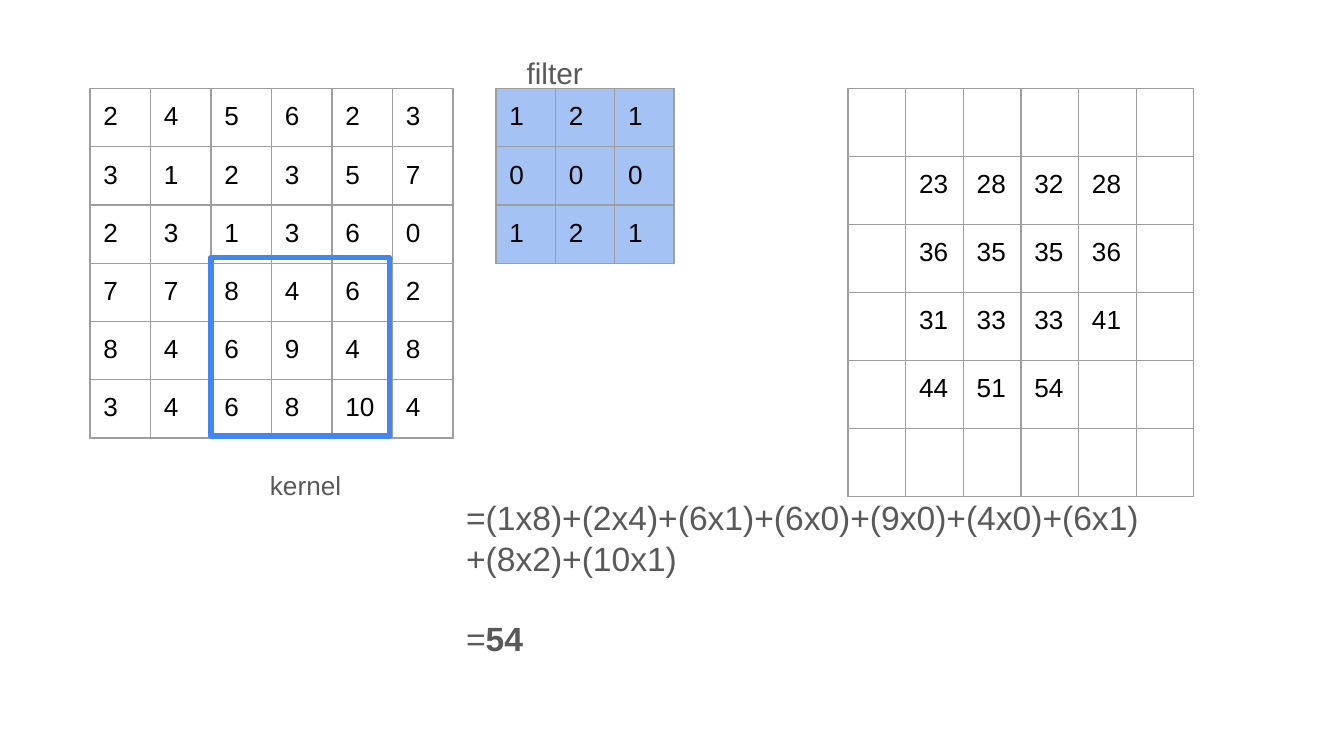
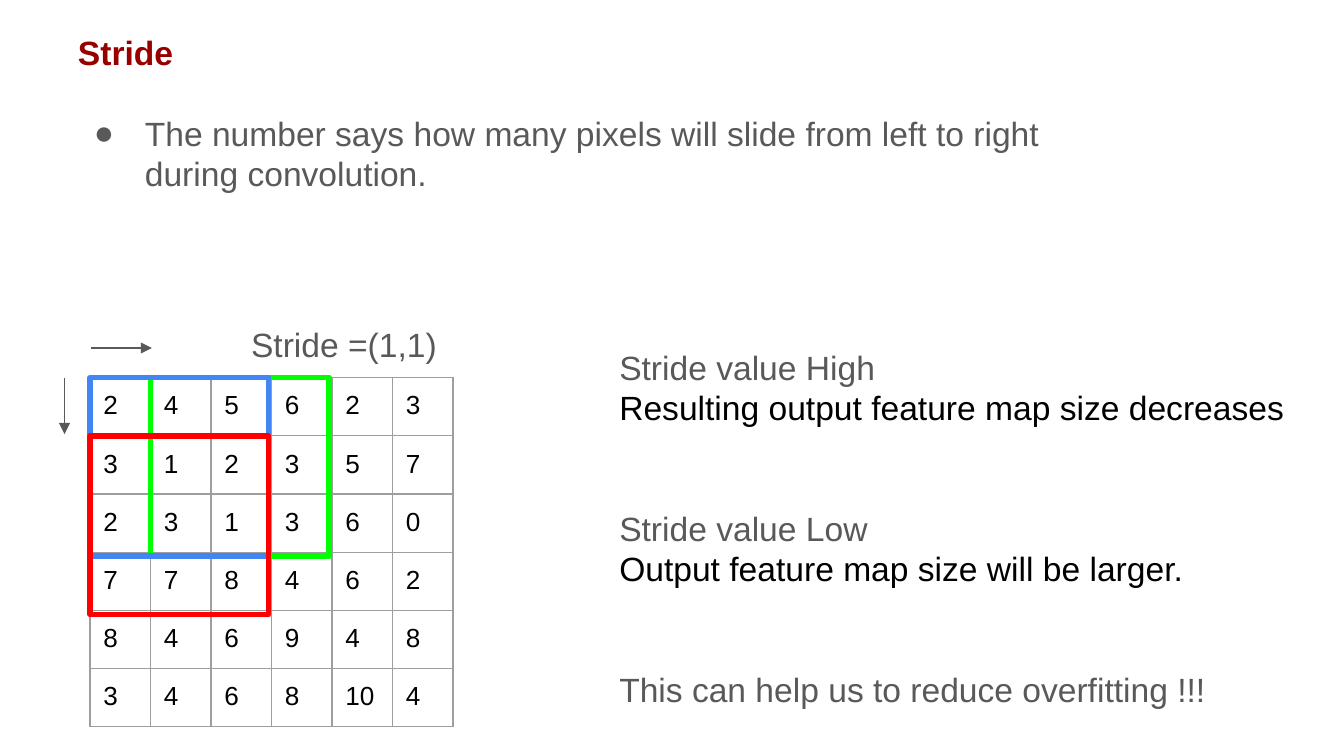
from lxml.etree import SubElement as Sub
from pptx import Presentation as Deck
from pptx.dml.color import RGBColor as Rgb
from pptx.enum.shapes import MSO_CONNECTOR as Link, MSO_SHAPE as Form
from pptx.enum.text import MSO_ANCHOR as Anchor, MSO_AUTO_SIZE as Fit, PP_ALIGN as Align
from pptx.oxml.ns import qn
from pptx.util import Inches, Pt

COLS, ROWS = 100, 56.25
UNIT = Inches(10) / COLS
FONT = "Arial"
GREY, BLACK, MAROON = "595959", "000000", "980000"
BLUE, GREEN, RED = "4285F4", "00FF00", "FF0000"
PALE, EDGE = "A4C2F4", "9E9E9E"
LINE = 21.6
LEFT, CELL, HIGH = 6.7, 4.5, 26 / 6
SPAN = 13.3

PIXELS = [line.split() for line in (
    "2 4 5 6 2 3", "3 1 2 3 5 7", "2 3 1 3 6 0",
    "7 7 8 4 6 2", "8 4 6 9 4 8", "3 4 6 8 10 4")]
FILTER = [line.split() for line in ("1 2 1", "0 0 0", "1 2 1")]
INNER = [["23", "28", "32", "28"], ["36", "35", "35", "36"],
         ["31", "33", "33", "41"], ["44", "51", "54", ""]]
BLANK = [""] * 6
OUTPUT = [BLANK, *(["", *row, ""] for row in INNER), BLANK]


def hue(code):
    return Rgb.from_string(code)


def grid(*spots):
    return [round(spot * UNIT) for spot in spots]


class Page:
    def __init__(self, deck, layout):
        self.slide = deck.slides.add_slide(deck.slide_layouts[layout])
        self.shapes = self.slide.shapes

    def run(self, para, text, size, color, bold=False):
        run = para.add_run()
        run.text = text
        font = run.font
        font.name, font.size, font.bold = FONT, Pt(size), bold
        font.color.rgb = hue(color)

    def frame(self, shape):
        frame = shape.text_frame
        frame.word_wrap, frame.auto_size = True, Fit.NONE
        frame.vertical_anchor = Anchor.TOP
        frame.margin_left = frame.margin_right = Inches(0.1)
        frame.margin_top = frame.margin_bottom = Inches(0.1)
        return frame

    def title(self, text, *area):
        shape = self.shapes.title
        shape.left, shape.top, shape.width, shape.height = grid(*area)
        para = self.frame(shape).paragraphs[0]
        para.alignment = Align.LEFT
        self.run(para, text, 18, MAROON, True)

    def text(self, paras, *area, size=18, bullet=False):
        frame = self.frame(self.shapes.add_textbox(*grid(*area)))
        for spot, (gap, runs) in enumerate(paras):
            para = frame.add_paragraph() if spot else frame.paragraphs[0]
            if bullet:
                self.bullet(para)
            if gap:
                para.space_before = Pt(gap)
            for text, color, bold in runs:
                self.run(para, text, size, color, bold)

    def bullet(self, para):
        props = para._p.get_or_add_pPr()
        props.set("marL", str(Inches(0.5)))
        props.set("indent", str(-Inches(0.38)))
        tint = Sub(props, qn("a:buClr"))
        Sub(tint, qn("a:srgbClr"), val=GREY)
        Sub(props, qn("a:buFont"), typeface=FONT)
        Sub(props, qn("a:buChar"), char="●")

    def table(self, data, left, top, wide, high, fill=None):
        rows, cols = len(data), len(data[0])
        area = grid(left, top, wide * cols, high * rows)
        table = self.shapes.add_table(rows, cols, *area).table
        table.first_row = table.horz_banding = False
        for col in table.columns:
            col.width = grid(wide)[0]
        for row, texts in zip(table.rows, data):
            row.height = grid(high)[0]
            for cell, text in zip(row.cells, texts):
                self.cell(cell, text, fill)

    def cell(self, cell, text, fill):
        cell.margin_left = cell.margin_right = Inches(0.1)
        cell.margin_top = cell.margin_bottom = Inches(0.1)
        props = cell._tc.get_or_add_tcPr()
        for side in "LRTB":
            line = Sub(props, qn(f"a:ln{side}"), w=str(Pt(0.75)))
            Sub(Sub(line, qn("a:solidFill")), qn("a:srgbClr"), val=EDGE)
        if fill:
            cell.fill.solid()
            cell.fill.fore_color.rgb = hue(fill)
        else:
            cell.fill.background()
        if text:
            self.run(cell.text_frame.paragraphs[0], text, 14, BLACK)

    def window(self, top, col, row, color):
        area = grid(LEFT + col * CELL, top + row * HIGH, SPAN, SPAN)
        shape = self.shapes.add_shape(Form.RECTANGLE, *area)
        shape.shadow.inherit = False
        shape.fill.background()
        shape.line.color.rgb = hue(color)
        shape.line.width = Pt(3)
        Sub(shape.line._get_or_add_ln(), qn("a:round"))

    def arrow(self, *ends):
        link = self.shapes.add_connector(Link.STRAIGHT, *grid(*ends))
        link.line.color.rgb = hue(GREY)
        link.line.width = Pt(0.75)
        Sub(link.line._get_or_add_ln(), qn("a:tailEnd"), type="triangle")
        Sub(link._element.spPr, qn("a:effectLst"))


def plain(text, color=GREY, gap=0):
    return gap, [(text, color, False)]


def kernel(deck):
    page, top = Page(deck, 6), 6.6
    page.table(PIXELS, LEFT, top, CELL, HIGH)
    page.window(top, 2, 2.9, BLUE)
    page.table(FILTER, 36.9, top, 4.42, HIGH, PALE)
    page.text([plain("kernel")], 19.1, 33.9, 8.1, 4.4, size=14)
    page.text([plain("filter")], 38.2, 3.1, 61.8, 4.7, size=16)
    page.table(OUTPUT, 63.1, top, 4.29, 5)
    page.text([
        plain("=(1x8)+(2x4)+(6x1)+(6x0)+(9x0)+(4x0)+(6x1)+(8x2)+(10x1)"),
        (LINE, [("=", GREY, False), ("54", GREY, True)]),
    ], 33.7, 36, 52.4, 17.2)


def stride(deck):
    page, top = Page(deck, 5), 28.1
    page.title("Stride", 4.8, 1.4, 81.6, 5)
    page.text([plain("The number says how many pixels will slide "
                     "from left to right during convolution.")],
              4.8, 7.4, 80, 8, bullet=True)
    page.table(PIXELS, LEFT, top, CELL, HIGH)
    page.window(top, 1, 0, GREEN)
    page.window(top, 0, 0, BLUE)
    page.arrow(6.8, 25.9, 11.3, 25.9)
    page.text([plain("Stride =(1,1)")], 17.7, 23.1, 81.6, 5)
    page.window(top, 0, 1, RED)
    page.arrow(4.8, top, 4.8, 32.3)
    page.text([
        plain("Stride value High"),
        plain("Resulting output feature map size decreases", BLACK),
        plain("Stride value Low", gap=2 * LINE),
        plain("Output feature map size will be larger.", BLACK),
        plain("This can help us to reduce overfitting !!!", gap=2 * LINE),
    ], 45.1, 24.8, 53, 29.3)


def main():
    deck = Deck()
    deck.slide_width, deck.slide_height = grid(COLS, ROWS)
    kernel(deck)
    stride(deck)
    deck.save("out.pptx")


if __name__ == "__main__":
    main()
